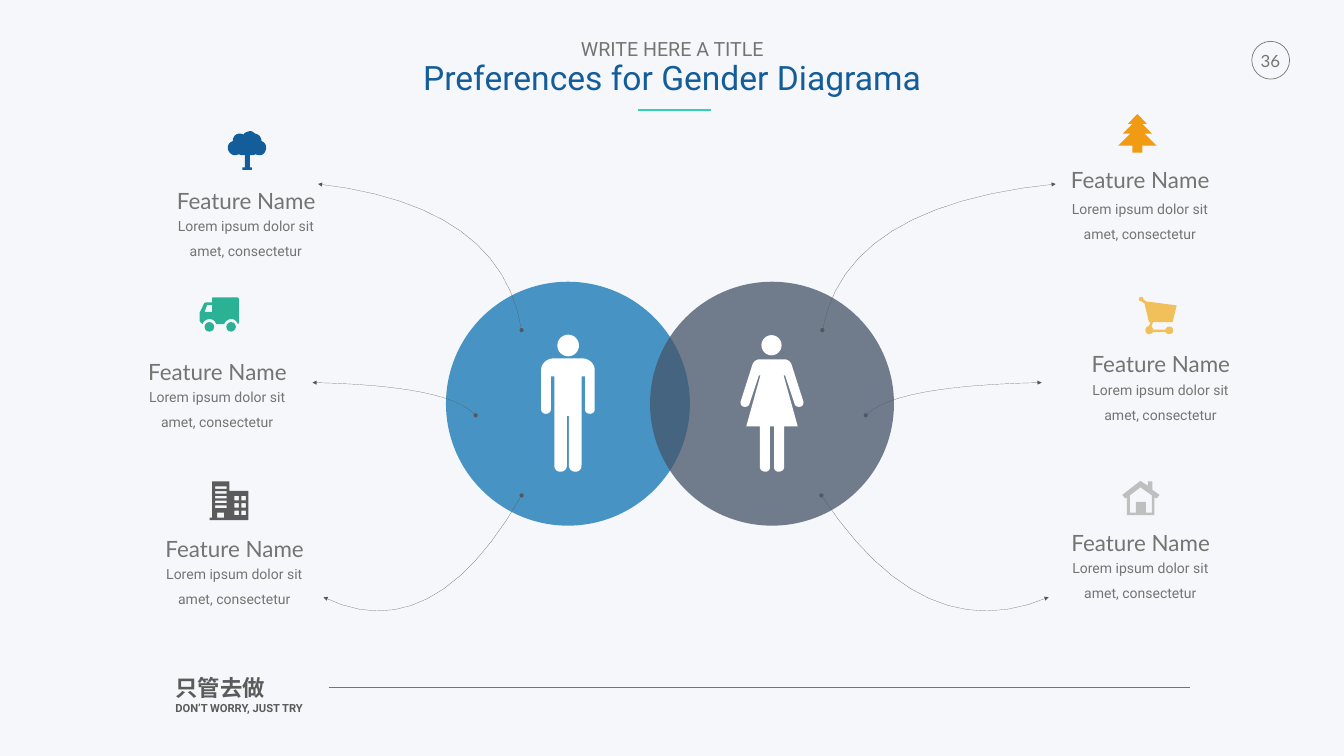
from pptx import Presentation
from pptx.dml.color import RGBColor
from pptx.enum.shapes import MSO_CONNECTOR, MSO_SHAPE
from pptx.enum.text import MSO_ANCHOR, MSO_AUTO_SIZE, PP_ALIGN
from pptx.oxml.ns import qn
from pptx.util import Cm, Pt
from lxml.etree import SubElement

GREY, DARK, BLUE, WHITE, GREEN = "737572", "5B5B5B", "135D9A", "FFFFFF", "2BB294"
NAME = {"size": Pt(32), "name": "Lato"}
BODY = {"size": Pt(20), "name": "Roboto"}

# Centre x, top of the name, drop to the description
FEATURES = [(4.88, 3.62, 0.43), (4.31, 7.01, 0.43), (4.65, 10.52, 0.43),
            (22.62, 3.19, 0.52), (23.03, 6.85, 0.45), (22.63, 10.4, 0.43)]

# Start point, then control, control, end
ARROWS = [[(10.35, 6.55), (10.09, 4.9, 8.74, 3.93, 6.31, 3.65)],
          [(9.44, 8.24), (9.08, 7.84, 8, 7.63, 6.2, 7.59)],
          [(10.35, 9.83), (9.18, 11.88, 7.87, 12.56, 6.42, 11.85)],
          [(16.32, 6.55), (16.62, 4.9, 18.16, 3.93, 20.95, 3.65)],
          [(17.18, 8.24), (17.57, 7.84, 18.73, 7.63, 20.67, 7.59)],
          [(16.3, 9.83), (17.65, 11.88, 19.15, 12.56, 20.81, 11.85)]]

# Right halves of symmetric outlines, from the axis down; six numbers make a curve
MAN = [(11.27, 7.11), (11.54, 7.11), (11.72, 7.11, 11.8, 7.25, 11.8, 7.32),
       (11.8, 8.13), (11.8, 8.17, 11.76, 8.21, 11.71, 8.21),
       (11.65, 8.21, 11.61, 8.17, 11.61, 8.13), (11.61, 7.47), (11.54, 7.47),
       (11.54, 9.23), (11.54, 9.31, 11.49, 9.36, 11.42, 9.36),
       (11.35, 9.36, 11.29, 9.31, 11.29, 9.23), (11.29, 8.25), (11.27, 8.25)]
WOMAN = [(15.32, 7.13), (15.56, 7.13), (15.65, 7.13, 15.7, 7.19, 15.72, 7.27),
         (15.94, 7.96), (15.95, 8, 15.94, 8.06, 15.88, 8.07),
         (15.84, 8.08, 15.78, 8.06, 15.77, 8.02), (15.58, 7.45), (15.55, 7.45),
         (15.83, 8.46), (15.56, 8.46), (15.56, 9.27),
         (15.56, 9.32, 15.51, 9.36, 15.45, 9.36),
         (15.4, 9.36, 15.36, 9.32, 15.36, 9.27), (15.36, 8.46), (15.32, 8.46)]
PINE = [(22.57, 2.26), (22.76, 2.46), (22.67, 2.46), (22.86, 2.65), (22.71, 2.65),
        (22.95, 2.89), (22.67, 2.89), (22.67, 3.03), (22.57, 3.03)]
TREE = [(4.9, 2.62), (4.96, 2.6), (4.99, 2.6, 5.03, 2.62, 5.06, 2.65),
        (5.13, 2.66, 5.19, 2.72, 5.19, 2.8), (5.25, 2.82, 5.28, 2.87, 5.28, 2.93),
        (5.28, 3.01, 5.23, 3.08, 5.15, 3.08), (5.12, 3.08, 5.09, 3.07, 5.07, 3.06),
        (5.05, 3.07, 5.03, 3.08, 5, 3.08), (4.96, 3.08), (4.96, 3.32), (5, 3.32),
        (5, 3.37), (4.81, 3.37), (4.81, 3.32), (4.86, 3.32), (4.86, 3.07),
        (4.84, 3.08, 4.82, 3.08, 4.81, 3.08), (4.78, 3.08, 4.76, 3.07, 4.74, 3.06),
        (4.72, 3.07, 4.69, 3.08, 4.66, 3.08), (4.59, 3.08, 4.52, 3.01, 4.52, 2.93),
        (4.52, 2.87, 4.56, 2.82, 4.62, 2.8), (4.62, 2.71, 4.68, 2.65, 4.76, 2.65),
        (4.78, 2.65, 4.81, 2.66, 4.83, 2.67), (4.85, 2.64, 4.87, 2.63, 4.9, 2.62)]
TRUCK = [(4.71, 5.9), (4.23, 5.9), (4.21, 5.9, 4.21, 5.92, 4.21, 5.93), (4.21, 6),
         (4.09, 6), (4.08, 6, 4.06, 6.01, 4.05, 6.02), (3.98, 6.17),
         (3.97, 6.18, 3.96, 6.2, 3.96, 6.21), (3.96, 6.36), (3.98, 6.4), (4.02, 6.43),
         (4.04, 6.37, 4.1, 6.33, 4.16, 6.33), (4.22, 6.33, 4.27, 6.37, 4.29, 6.43),
         (4.45, 6.43), (4.47, 6.37, 4.53, 6.33, 4.59, 6.33),
         (4.65, 6.33, 4.7, 6.37, 4.72, 6.43), (4.74, 6.41), (4.74, 5.93),
         (4.74, 5.92, 4.72, 5.9, 4.71, 5.9)]
CAB_WINDOW = [(4.21, 6.19), (4.06, 6.19), (4.11, 6.05), (4.21, 6.05)]
CART = [(23.2, 6.48), (23.17, 6.48, 23.13, 6.51, 23.13, 6.54), (22.88, 6.54),
        (22.88, 6.52, 22.87, 6.5, 22.85, 6.49), (22.88, 6.39), (23.27, 6.39),
        (23.35, 6.06), (22.74, 5.98), (22.69, 5.94),
        (22.69, 5.91, 22.67, 5.89, 22.65, 5.89), (22.62, 5.89, 22.6, 5.91, 22.6, 5.94),
        (22.6, 5.96, 22.62, 5.98, 22.65, 5.98), (22.71, 6.02), (22.8, 6.39),
        (22.83, 6.39), (22.8, 6.47), (22.76, 6.47, 22.73, 6.51, 22.73, 6.55),
        (22.73, 6.6, 22.76, 6.63, 22.8, 6.63), (22.84, 6.63, 22.86, 6.61, 22.88, 6.59),
        (23.13, 6.59), (23.14, 6.61, 23.17, 6.63, 23.2, 6.63),
        (23.25, 6.63, 23.28, 6.6, 23.28, 6.56), (23.28, 6.51, 23.25, 6.48, 23.2, 6.48)]
HOUSE = [(22.87, 9.72), (22.87, 9.55), (22.78, 9.55), (22.78, 9.64), (22.63, 9.54),
         (22.27, 9.82), (22.33, 9.89), (22.36, 9.87), (22.36, 10.22), (22.91, 10.22),
         (22.91, 9.87), (22.95, 9.89), (23.01, 9.82)]
HOUSE_INSIDE = [(22.86, 10.17), (22.74, 10.17), (22.74, 9.96), (22.54, 9.96),
                (22.54, 10.17), (22.42, 10.17), (22.42, 9.83), (22.63, 9.67), (22.86, 9.83)]
BUILDING = [(4.55, 9.74), (4.55, 9.55), (4.21, 9.55), (4.21, 10.27), (4.16, 10.27),
            (4.16, 10.32), (4.93, 10.32), (4.93, 9.74)]


def rgb(value):
    return RGBColor.from_string(value)


def unit(*values):
    """Lengths for layout units of 2.54 cm."""
    return [Cm(2.54 * v) for v in values]


def flatten(outline, steps=12):
    """Turn an outline with cubic curves into plain points."""
    points = [outline[0]]
    for part in outline[1:]:
        if len(part) == 2:
            points.append(part)
            continue
        knots = [points[-1], part[:2], part[2:4], part[4:]]
        for t in (i / steps for i in range(1, steps + 1)):
            weights = ((1 - t) ** 3, 3 * t * (1 - t) ** 2, 3 * t * t * (1 - t), t ** 3)
            points.append(tuple(sum(w * k[a] for w, k in zip(weights, knots)) for a in (0, 1)))
    return points


def mirrored(half):
    points = flatten(half)
    axis = points[0][0]
    return points + [(2 * axis - x, y) for x, y in reversed(points)]


def rect(x, y, w, h):
    return [(x, y), (x + w, y), (x + w, y + h), (x, y + h)]


def paint(sp, fill=None, line=None, width=1, alpha=None):
    sp.shadow.inherit = False
    if fill:
        sp.fill.solid()
        sp.fill.fore_color.rgb = rgb(fill)
    else:
        sp.fill.background()
    if line:
        sp.line.color.rgb = rgb(line)
        sp.line.width = Pt(width)
    else:
        sp.line.fill.background()
    if alpha:
        clr = sp.fill._xPr.find(qn("a:solidFill"))[0]
        SubElement(clr, qn("a:alpha")).set("val", str(alpha * 1000))


def add_ellipse(shapes, x, y, size, **look):
    paint(shapes.add_shape(MSO_SHAPE.OVAL, *unit(x, y, size, size)), **look)


def add_outline(shapes, outlines, close=True, **look):
    """Draw one freeform; outlines after the first are holes."""
    contours = [[unit(*pt) for pt in flatten(o)] for o in outlines]
    builder = shapes.build_freeform(*contours[0][0])
    for i, points in enumerate(contours):
        if i:
            builder.move_to(*points[0])
        builder.add_line_segments(points[1:], close=close)
    sp = builder.convert_to_shape()
    paint(sp, **look)
    return sp


def add_arrow(shapes, curve):
    sp = add_outline(shapes, [curve], close=False, line="53585F", width=0.25)
    ln = sp.line._get_or_add_ln()
    for tag, kind in (("a:headEnd", "oval"), ("a:tailEnd", "triangle")):
        SubElement(ln, qn(tag)).set("type", kind)


def add_rule(shapes, x1, x2, y, color, width):
    c = shapes.add_connector(MSO_CONNECTOR.STRAIGHT, *unit(x1, y, x2, y))
    c.line.color.rgb = rgb(color)
    c.line.width = Pt(width)
    SubElement(c._element.spPr, qn("a:effectLst"))


def write(sp, lines, inset=0.1, wrap=True, align=PP_ALIGN.CENTER, spacing=1.0):
    """Fill a shape with (text, font format, colour) paragraphs."""
    tf = sp.text_frame
    frame = {"word_wrap": wrap, "auto_size": MSO_AUTO_SIZE.NONE, "vertical_anchor": MSO_ANCHOR.TOP}
    frame.update({f"margin_{side}": Cm(2.54 * inset) for side in ("left", "right", "top", "bottom")})
    for key, value in frame.items():
        setattr(tf, key, value)
    for i, (text, fmt, color) in enumerate(lines):
        p = tf.add_paragraph() if i else tf.paragraphs[0]
        p.alignment, p.line_spacing, p.space_before = align, spacing, Pt(0)
        r = p.add_run()
        r.text = text
        for key, value in fmt.items():
            setattr(r.font, key, value)
        r.font.color.rgb = rgb(color)


def add_text(shapes, box, lines, **frame):
    write(shapes.add_textbox(*unit(*box)), lines, **frame)


def add_feature(shapes, center, top, drop):
    add_text(shapes, (center - 1.67, top + drop, 3.34, 1.03),
             [("Lorem ipsum dolor sit amet, consectetur", BODY, GREY)], spacing=1.5)
    add_text(shapes, (center - 1.52, top, 3.05, 0.73), [("Feature Name", NAME, GREY)], wrap=False)


def add_title(title):
    title.left, title.top, title.width, title.height = unit(8.26, 0.74, 10.16, 1.33)
    write(title, [("WRITE HERE A TITLE", {**BODY, "size": Pt(28)}, GREY),
                  ("Preferences for Gender Diagrama", {**BODY, "size": Pt(48)}, BLUE)],
          inset=0.05, wrap=False, spacing=0.9)


def add_frame(shapes):
    add_rule(shapes, 12.67, 14.11, 2.18, "33D1AD", 3)
    add_ellipse(shapes, 24.84, 0.82, 0.75, line=GREY)
    add_text(shapes, (24.92, 0.9, 0.58, 0.6), [("36", {**NAME, "size": Pt(24)}, GREY)], wrap=False)
    motto = {"name": "Roboto", "bold": True}
    add_text(shapes, (3.43, 13.33, 3.99, 0.99),
             [("只管去做", {**motto, "size": Pt(32)}, DARK),
              ("DON’T WORRY, JUST TRY", {**motto, "size": Pt(16)}, DARK)],
             inset=0.05, align=PP_ALIGN.LEFT)
    add_rule(shapes, 6.52, 23.62, 13.64, GREY, 0.25)


def add_people(shapes):
    for x, color in ((8.85, "0D73B2"), (12.9, "445468")):
        add_ellipse(shapes, x, 5.59, 4.84, fill=color, alpha=75)
    for half, head in ((MAN, (11.06, 6.64, 0.43)), (WOMAN, (15.11, 6.65, 0.4))):
        person = shapes.add_group_shape().shapes
        add_outline(person, [mirrored(half)], fill=WHITE)
        add_ellipse(person, *head, fill=WHITE)


def add_icons(shapes):
    truck = shapes.add_group_shape().shapes
    add_outline(truck, [TRUCK, CAB_WINDOW], fill=GREEN)
    for x in (4.06, 4.49):
        add_ellipse(truck, x, 6.39, 0.19, fill=GREEN)
    slats = [rect(4.27, 9.65 + 0.095 * i, 0.23, 0.05) for i in range(5)]
    windows = [rect(x, 9.84 + 0.145 * i, 0.09, 0.09) for x in (4.65, 4.79) for i in range(3)]
    door = rect(4.31, 10.17, 0.14, 0.1)
    add_outline(shapes, [BUILDING, door, *slats, *windows], fill=DARK)
    add_outline(shapes, [mirrored(PINE)], fill="F19A14")
    add_outline(shapes, [TREE], fill=BLUE)
    add_outline(shapes, [HOUSE, HOUSE_INSIDE], fill="BFBFBF")
    add_outline(shapes, [CART], fill="F1C05A")


def main():
    prs = Presentation()
    prs.slide_width, prs.slide_height = unit(26.67, 15)
    s = prs.slides.add_slide(prs.slide_layouts[5])
    s.background.fill.solid()
    s.background.fill.fore_color.rgb = rgb("F6F7FA")
    add_title(s.shapes.title)
    add_frame(s.shapes)
    add_people(s.shapes)
    for curve in ARROWS:
        add_arrow(s.shapes, curve)
    for feature in FEATURES:
        add_feature(s.shapes, *feature)
    add_icons(s.shapes)
    prs.save("out.pptx")


if __name__ == "__main__":
    main()
